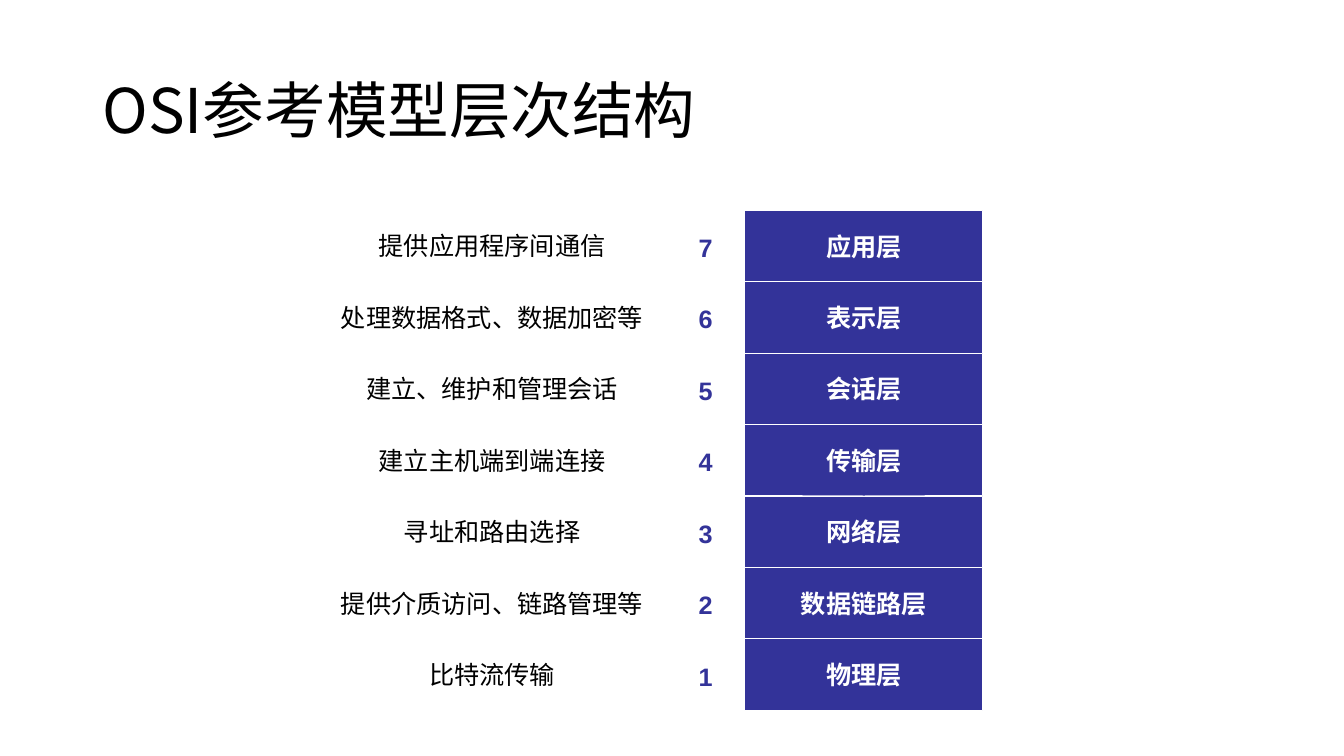
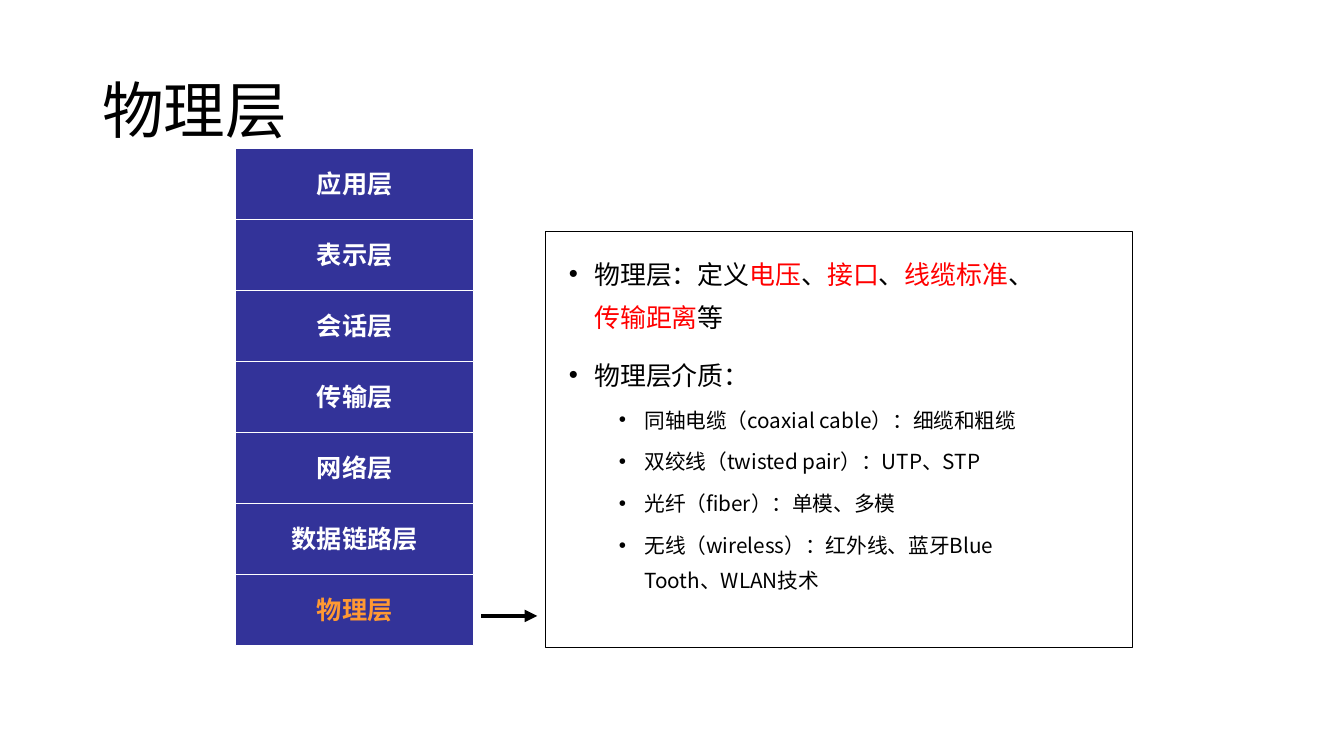
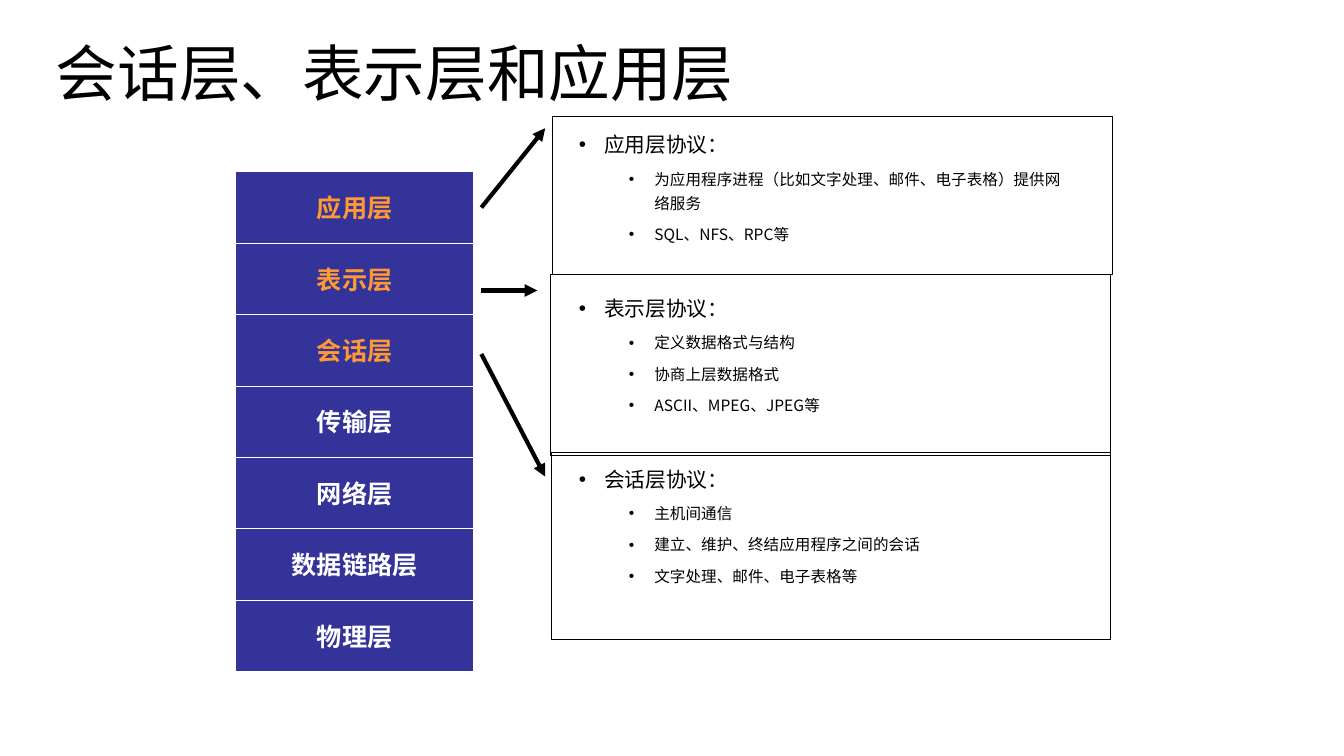
from lxml import etree
from pptx import Presentation, util as u
from pptx.dml.color import RGBColor
from pptx.enum import shapes, text
from pptx.oxml.ns import qn

Cm, Pt = u.Cm, u.Pt
rgb = RGBColor.from_string
SANS = "Noto Sans CJK SC"
BLACK, WHITE, NAVY, ORANGE, RED = "000000", "FFFFFF", "333399", "FF9933", "FF0000"
LAYER_W, LAYER_H = 6, 1.8


def write(tf, content, size=18, color=BLACK, font=SANS, bold=False, align=None,
          line=None, before=None, indent=None):
    p = tf.paragraphs[0] if not tf.text else tf.add_paragraph()
    p.alignment, p.line_spacing = align, line
    p.space_before = None if before is None else Pt(before)
    for i, part in enumerate(content.split("*")):
        if not part:
            continue
        r = p.add_run()
        r.text = part
        r.font.size, r.font.bold, r.font.name = Pt(size), bold, font
        r.font.color.rgb = rgb(RED if i % 2 else color)
        etree.SubElement(r.font._element, qn("a:ea"), typeface=font)
    if indent is not None:
        pPr = p._p.get_or_add_pPr()
        pPr.set("marL", str(Cm(indent)))
        pPr.set("indent", str(-Cm(0.64)))
        etree.SubElement(pPr, qn("a:buFont"), typeface="Arial")
        etree.SubElement(pPr, qn("a:buChar"), char="•")


def textbox(s, x, y, w, h, wrap=True):
    tf = s.shapes.add_textbox(Cm(x), Cm(y), Cm(w), Cm(h)).text_frame
    tf.word_wrap = wrap
    return tf


layers = [
    ("应用层", "提供应用程序间通信"),
    ("表示层", "处理数据格式、数据加密等"),
    ("会话层", "建立、维护和管理会话"),
    ("传输层", "建立主机端到端连接"),
    ("网络层", "寻址和路由选择"),
    ("数据链路层", "提供介质访问、链路管理等"),
    ("物理层", "比特流传输"),
]

slides = [
    dict(title="OSI参考模型层次结构", title_at=(2.33, 1.02), stack_at=(18.77, 5.3)),
    dict(
        title="物理层", title_at=(2.33, 1.02), stack_at=(5.94, 3.73), pitch=1.79,
        active=["物理层"],
        arrows=[(12.13, 15.52, 13.54, 15.52)],
        frames=[(13.74, 5.83, 14.81, 10.48)],
        body_at=(14.09, 6.07, 12.85, 9.4),
        sizes=(18.5, 14.8), line=1.4, gap=10,
        body=[
            ("物理层：定义*电压*、*接口*、*线缆标准*、*传输距离*等", []),
            ("物理层介质：", [
                "同轴电缆（coaxial cable）：细缆和粗缆",
                "双绞线（twisted pair）：UTP、STP",
                "光纤（fiber）：单模、多模",
                "无线（wireless）：红外线、蓝牙Blue Tooth、WLAN技术",
            ]),
        ],
    ),
    dict(
        title="会话层、表示层和应用层", title_at=(1.16, 0.08), stack_at=(5.94, 4.33),
        active=["应用层", "表示层", "会话层"],
        arrows=[(12.13, 8.92, 13.74, 12.01), (12.13, 7.32, 13.54, 7.32),
                (12.13, 5.23, 13.74, 3.23)],
        frames=[(13.93, 2.94, 14.1, 3.98), (13.88, 6.93, 14.1, 4.55),
                (13.89, 11.41, 14.1, 4.7)],
        body_at=(14.34, 3.02, 12.67, 12.29),
        sizes=(14.8, 11.1), line=1.3, gap=32,
        body=[
            ("应用层协议：", ["为应用程序进程（比如文字处理、邮件、电子表格）提供网络服务",
                         "SQL、NFS、RPC等"]),
            ("表示层协议：", ["定义数据格式与结构", "协商上层数据格式",
                         "ASCII、MPEG、JPEG等"]),
            ("会话层协议：", ["主机间通信", "建立、维护、终结应用程序之间的会话",
                         "文字处理、邮件、电子表格等"]),
        ],
    ),
]

prs = Presentation()
prs.slide_width, prs.slide_height = Cm(33.87), Cm(19.05)
center, middle = text.PP_ALIGN.CENTER, text.MSO_ANCHOR.MIDDLE

for page in slides:
    s = prs.slides.add_slide(prs.slide_layouts[6])
    tf = textbox(s, *page["title_at"], 29.21, 3.68)
    tf.vertical_anchor = middle
    write(tf, page["title"], size=44, line=0.9)

    if "body" in page:
        tf = textbox(s, *page["body_at"])
        head_size, item_size = page["sizes"]
        for i, (head, items) in enumerate(page["body"]):
            write(tf, head, size=head_size, line=page["line"],
                  before=page["gap"] if i else 0, indent=0.64)
            for item in items:
                write(tf, item, size=item_size, line=page["line"], before=5, indent=1.9)

    left, top = page["stack_at"]
    pitch = page.get("pitch", LAYER_H)
    for i, (name, _) in enumerate(layers):
        sp = s.shapes.add_shape(shapes.MSO_SHAPE.RECTANGLE, Cm(left), Cm(top + i * pitch),
                                Cm(LAYER_W), Cm(LAYER_H))
        sp.shadow.inherit = False
        sp.fill.solid()
        sp.fill.fore_color.rgb = rgb(NAVY)
        sp.line.color.rgb = rgb(WHITE)
        sp.line.width = Pt(0.75)
        sp.text_frame.word_wrap = False
        sp.text_frame.vertical_anchor = middle
        write(sp.text_frame, name, bold=True, align=center,
              color=ORANGE if name in page.get("active", []) else WHITE)

    for x1, y1, x2, y2 in page.get("arrows", []):
        arrow = s.shapes.add_connector(shapes.MSO_CONNECTOR.STRAIGHT,
                                       Cm(x1), Cm(y1), Cm(x2), Cm(y2))
        arrow.line.color.rgb = rgb(BLACK)
        arrow.line.width = Pt(3)
        etree.SubElement(arrow.line._get_or_add_ln(), qn("a:tailEnd"), type="triangle")
        etree.SubElement(arrow._element.spPr, qn("a:effectLst"))

    for x, y, w, h in page.get("frames", []):
        frame = s.shapes.add_shape(shapes.MSO_SHAPE.RECTANGLE, Cm(x), Cm(y), Cm(w), Cm(h))
        frame.shadow.inherit = False
        frame.fill.background()
        frame.line.color.rgb = rgb(BLACK)
        frame.line.width = Pt(0.75)

s = prs.slides[0]
top = slides[0]["stack_at"][1]
for i, (_, duty) in enumerate(layers):
    y = top + i * LAYER_H
    tf = textbox(s, 17.35, y + 0.43, 0.86, 1.04, wrap=False)
    write(tf, str(len(layers) - i), color=NAVY, font="Arial", bold=True, align=center)
    width = 0.51 + 0.64 * len(duty)
    tf = textbox(s, 12.4 - width / 2, y + 0.39, width, 1.04, wrap=False)
    write(tf, duty, align=center)

prs.save("out.pptx")
